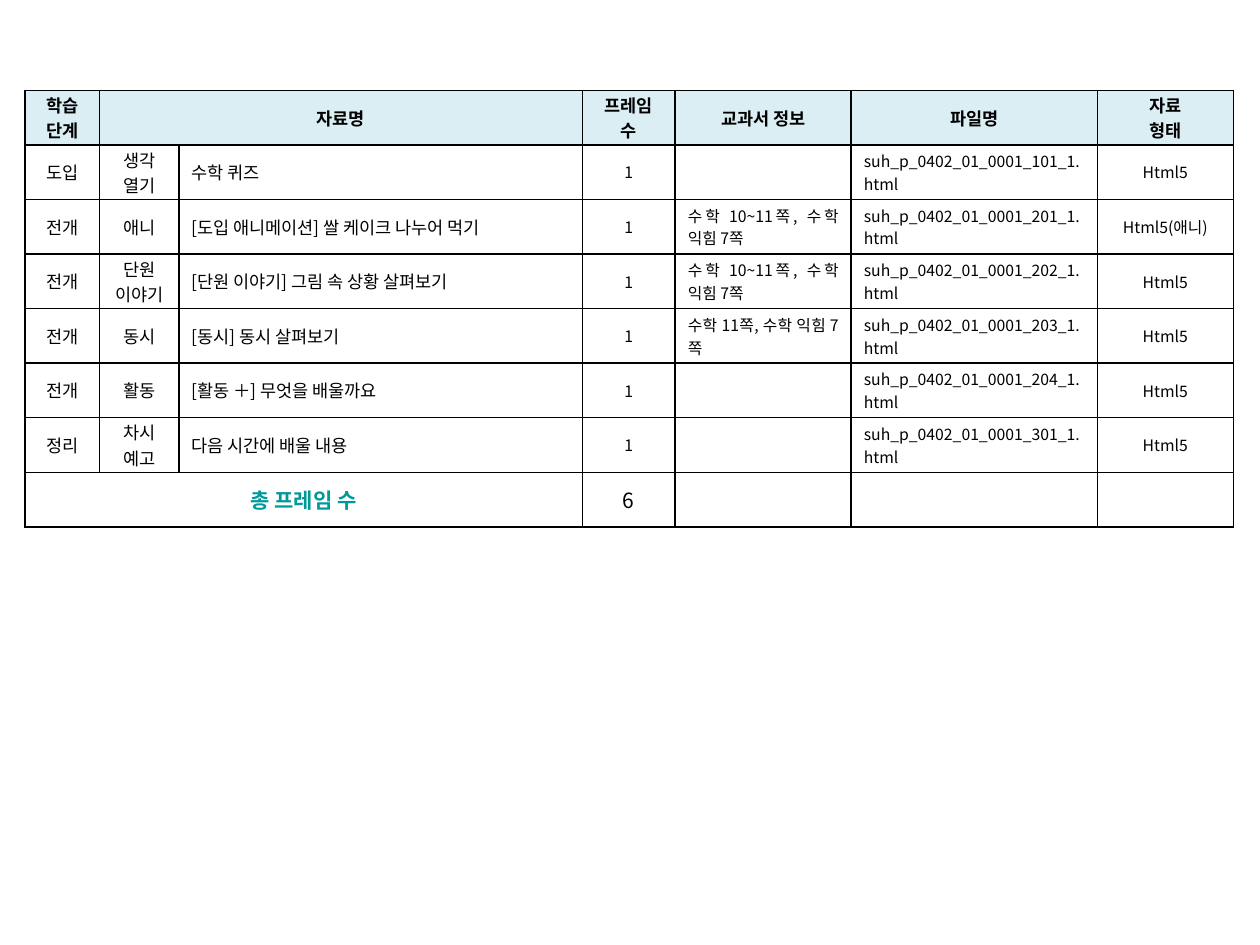
from lxml import etree
from pptx import Presentation
from pptx.dml.color import RGBColor
from pptx.enum.text import MSO_ANCHOR, PP_ALIGN as Align
from pptx.oxml.ns import qn
from pptx.util import Pt

COLORS = {"ink": "000000", "header": "DBEEF4", "total": "009999"}
FONT = "Noto Sans CJK KR"
COLUMN_WIDTHS = [42.6, 45.4, 230.6, 53.1, 100.6, 140.6, 77.7]
COLUMN_ALIGNS = [Align.CENTER, Align.CENTER, Align.LEFT, Align.CENTER,
                 Align.JUSTIFY, Align.JUSTIFY, Align.CENTER]
COLUMN_SIZES = [10, 10, 10, 9, 9, 9, 9]
ROW_HEIGHT = 31.2

HEADERS = ["학습 단계", "자료명", "", "프레임 수", "교과서 정보", "파일명", "자료\n형태"]
# stage, activity, title, textbook pages, file number, format
LESSONS = [
    ("도입", "생각\n열기", "수학 퀴즈", "", 101, "Html5"),
    ("전개", "애니", "[도입 애니메이션] 쌀 케이크 나누어 먹기",
     "수학 10~11쪽, 수학 익힘 7쪽", 201, "Html5(애니)"),
    ("전개", "단원\n이야기", "[단원 이야기] 그림 속 상황 살펴보기",
     "수학 10~11쪽, 수학 익힘 7쪽", 202, "Html5"),
    ("전개", "동시", "[동시] 동시 살펴보기", "수학 11쪽, 수학 익힘 7쪽", 203, "Html5"),
    ("전개", "활동", "[활동 ＋] 무엇을 배울까요", "", 204, "Html5"),
    ("정리", "차시 예고", "다음 시간에 배울 내용", "", 301, "Html5"),
]


def rgb(name):
    return RGBColor.from_string(COLORS[name])


def add_borders(cell):
    properties = cell._tc.get_or_add_tcPr()
    for position, side in enumerate(("lnL", "lnR", "lnT", "lnB")):
        line = etree.Element(qn(f"a:{side}"), w=str(Pt(1)))
        solid = etree.SubElement(line, qn("a:solidFill"))
        etree.SubElement(solid, qn("a:srgbClr"), val=COLORS["ink"])
        properties.insert(position, line)


def fill_cell(cell, text, size, align=Align.CENTER, bold=False, color="ink", fill=None):
    cell.vertical_anchor = MSO_ANCHOR.MIDDLE
    cell.margin_left = cell.margin_right = Pt(7.2)
    cell.margin_top = cell.margin_bottom = Pt(1)
    if fill:
        cell.fill.solid()
        cell.fill.fore_color.rgb = rgb(fill)
    else:
        cell.fill.background()
    add_borders(cell)
    cell.text_frame.text = text
    for paragraph in cell.text_frame.paragraphs:
        paragraph.alignment = align
        for run in paragraph.runs:
            run.font.size = Pt(size)
            run.font.name = FONT
            run.font.bold = bold
            run.font.color.rgb = rgb(color)
            etree.SubElement(run.font._element, qn("a:ea"), typeface=FONT)


def add_lesson_table(slide, left, top):
    row_count = len(LESSONS) + 2
    table = slide.shapes.add_table(
        row_count, len(COLUMN_WIDTHS), Pt(left), Pt(top),
        Pt(sum(COLUMN_WIDTHS)), Pt(ROW_HEIGHT * row_count)).table
    table.first_row = table.horz_banding = False
    for column, width in zip(table.columns, COLUMN_WIDTHS):
        column.width = Pt(width)
    for row in table.rows:
        row.height = Pt(ROW_HEIGHT)

    for column, header in enumerate(HEADERS):
        fill_cell(table.cell(0, column), header, 10, bold=True, fill="header")
    for row, (stage, activity, title, pages, number, form) in enumerate(LESSONS, 1):
        file_name = f"suh_p_0402_01_0001_{number}_1.html"
        values = (stage, activity, title, "1", pages, file_name, form)
        for column, value in enumerate(values):
            fill_cell(table.cell(row, column), value,
                      COLUMN_SIZES[column], COLUMN_ALIGNS[column])

    last = row_count - 1
    totals = ["총 프레임 수", "", "", str(len(LESSONS)), "", "", ""]
    for column, value in enumerate(totals):
        is_label = column == 0
        fill_cell(table.cell(last, column), value, 12, bold=is_label,
                  color="total" if is_label else "ink")
    table.cell(0, 1).merge(table.cell(0, 2))
    table.cell(last, 0).merge(table.cell(last, 2))


def main():
    deck = Presentation()
    deck.slide_width, deck.slide_height = Pt(720), Pt(540)
    slide = deck.slides.add_slide(deck.slide_layouts[6])
    add_lesson_table(slide, left=14.2, top=51.6)
    deck.save("out.pptx")


if __name__ == "__main__":
    main()
